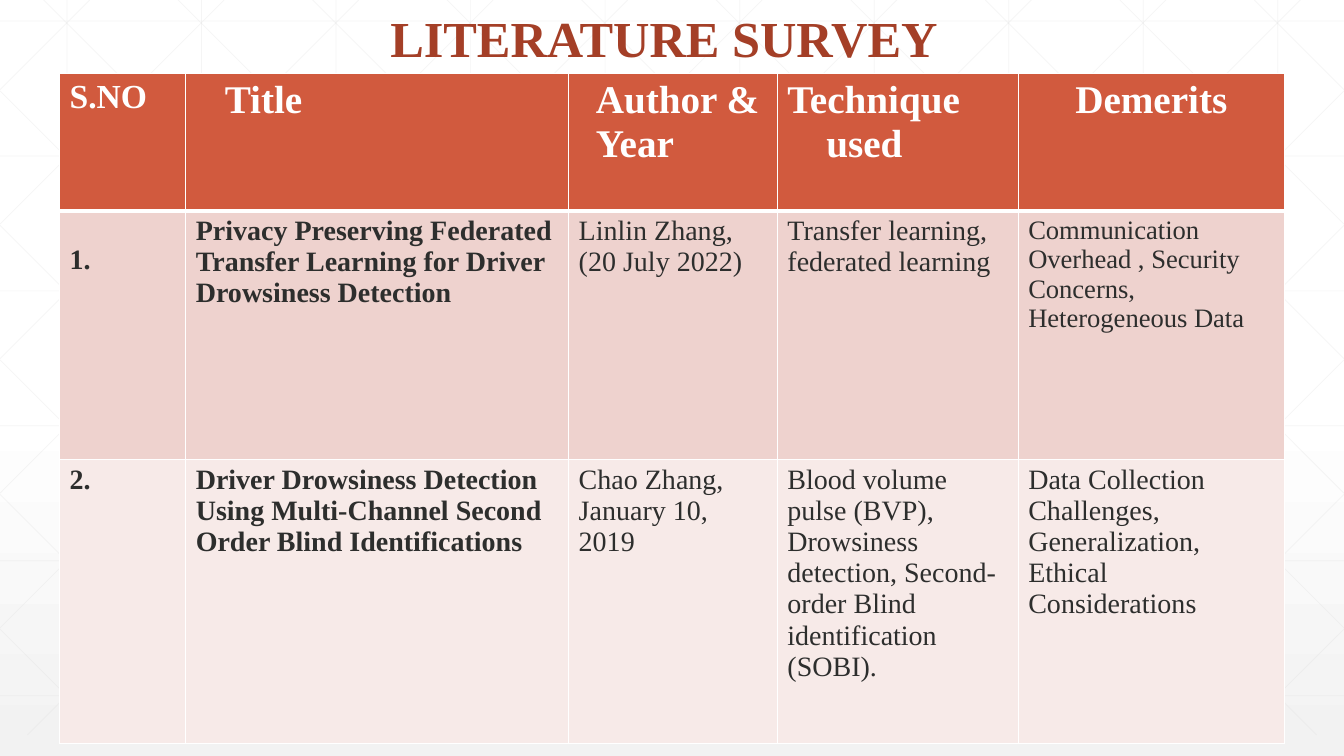
"""Build the literature survey slide: a faint grid, a heading and a table."""
from lxml.etree import SubElement
from pptx import Presentation
from pptx.dml.color import RGBColor
from pptx.enum.shapes import MSO_CONNECTOR as Connector
from pptx.enum.text import MSO_ANCHOR as Anchor, PP_ALIGN as Align
from pptx.oxml import parse_xml
from pptx.oxml.ns import nsdecls, qn
from pptx.util import Cm, Pt

COLOURS = {
    "white": "FFFFFF", "shade": "F2F2F2", "grid": "D9D9D9", "rust": "A43F27",
    "header": "D15A3E", "odd": "EED2CE", "even": "F7EAE8", "ink": "2D2E2D",
}
WIDTH, HEIGHT = 33.87, 19.05
GRID_BOTTOM = 18.52
GRID_STEP = 3.39


def write(frame, text, size=20, colour="ink", bold=False, align=Align.LEFT,
          indents=(0,), spacing=None):
    """Fill a text frame, one paragraph per line, with an indent in cm for each."""
    frame.word_wrap = True
    frame.text = text
    for index, para in enumerate(frame.paragraphs):
        para.alignment = align
        para.line_spacing = spacing
        indent = indents[min(index, len(indents) - 1)]
        if indent:
            para._p.get_or_add_pPr().set("marL", str(Cm(indent)))
        for span in para.runs:
            span.font.name = "Times New Roman"
            span.font.size = Pt(size)
            span.font.bold = bold
            span.font.color.rgb = RGBColor.from_string(COLOURS[colour])


def draw_line(x1, y1, x2, y2, colour="grid", weight=0.5, opacity=25):
    """Draw a straight line between two points given in cm."""
    line = page.shapes.add_connector(
        Connector.STRAIGHT, Cm(x1), Cm(y1), Cm(x2), Cm(y2))
    line.line.color.rgb = RGBColor.from_string(COLOURS[colour])
    line.line.width = Pt(weight)
    tint = line._element.spPr.find(".//" + qn("a:srgbClr"))
    SubElement(tint, qn("a:alpha"), val=str(opacity * 1000))
    SubElement(line._element.spPr, qn("a:effectLst"))


deck = Presentation()
deck.slide_width, deck.slide_height = Cm(WIDTH), Cm(HEIGHT)
page = deck.slides.add_slide(deck.slide_layouts[6])

backdrop = page.background.fill
backdrop.gradient()
backdrop.gradient_angle = 270
for stop, position, colour in zip(
        backdrop.gradient_stops, (0.53, 1), ("white", "shade")):
    stop.position = position
    stop.color.rgb = RGBColor.from_string(COLOURS[colour])

for column in range(10):
    x = 1.69 + column * GRID_STEP
    draw_line(x, 0, x, GRID_BOTTOM)
for row in range(6):
    y = 0.53 + row * 3.4
    draw_line(0, y, WIDTH, y)
for diagonal in range(-5, 10):
    start = 1.1 + diagonal * GRID_STEP
    top = max(0, -start)
    bottom = min(GRID_BOTTOM, WIDTH - start)
    left, right = start + top, start + bottom
    draw_line(left, top, right, bottom)
    draw_line(WIDTH - left, top, WIDTH - right, bottom)
draw_line(1.7, 17.15, 32.17, 17.15, colour="rust", weight=1, opacity=100)

heading = page.shapes.add_textbox(Cm(3.4), Cm(0), Cm(26.67), Cm(1.85))
heading.text_frame.vertical_anchor = Anchor.BOTTOM
write(heading.text_frame, "LITERATURE SURVEY", size=36, colour="rust",
      bold=True, align=Align.CENTER, spacing=0.9)

column_widths = [3.18, 9.65, 5.26, 6.07, 6.71]
row_heights = [3.45, 6.27, 7.15]
row_fills = ["header", "odd", "even"]
header_style = dict(size=28, colour="white", bold=True)
survey_rows = [
    [
        ("S.NO", header_style | dict(size=24)),
        ("Title", header_style | dict(indents=(0.73,))),
        ("Author & Year", header_style | dict(indents=(0.43,))),
        ("Technique\nused", header_style | dict(indents=(0, 0.98))),
        ("Demerits", header_style | dict(align=Align.CENTER)),
    ],
    [
        ("1.", dict(bold=True)),
        ("Privacy Preserving Federated Transfer Learning for Driver "
         "Drowsiness Detection", dict(bold=True)),
        ("Linlin Zhang, (20 July 2022)", {}),
        ("Transfer learning, federated learning", {}),
        ("Communication Overhead , Security Concerns, Heterogeneous Data",
         dict(size=19)),
    ],
    [
        ("2.", dict(bold=True)),
        ("Driver Drowsiness Detection Using Multi-Channel Second Order "
         "Blind Identifications", dict(bold=True)),
        ("Chao Zhang,\nJanuary 10, 2019", {}),
        ("Blood volume pulse (BVP), Drowsiness detection, Second-order "
         "Blind identification (SOBI).", {}),
        ("Data Collection Challenges, Generalization, Ethical "
         "Considerations", {}),
    ],
]

table = page.shapes.add_table(
    len(row_heights), len(column_widths), Cm(1.5), Cm(1.86),
    Cm(sum(column_widths)), Cm(sum(row_heights))).table
for column, width in zip(table.columns, column_widths):
    column.width = Cm(width)
for row, height in zip(table.rows, row_heights):
    row.height = Cm(height)

for row_index, survey_row in enumerate(survey_rows):
    borders = {"lnL": 1, "lnR": 1, "lnT": 3 if row_index == 1 else 1,
               "lnB": 3 if row_index == 0 else 1}
    for column_index, (text, style) in enumerate(survey_row):
        cell = table.cell(row_index, column_index)
        properties = cell._tc.get_or_add_tcPr()
        for side, weight in borders.items():
            properties.append(parse_xml(
                f'<a:{side} {nsdecls("a")} w="{Pt(weight)}"><a:solidFill>'
                f'<a:srgbClr val="{COLOURS["white"]}"/></a:solidFill></a:{side}>'))
        cell.fill.solid()
        cell.fill.fore_color.rgb = RGBColor.from_string(
            COLOURS[row_fills[row_index]])
        write(cell.text_frame, text, **style)
table.cell(1, 0).margin_top = Cm(0.86)

deck.save("out.pptx")
